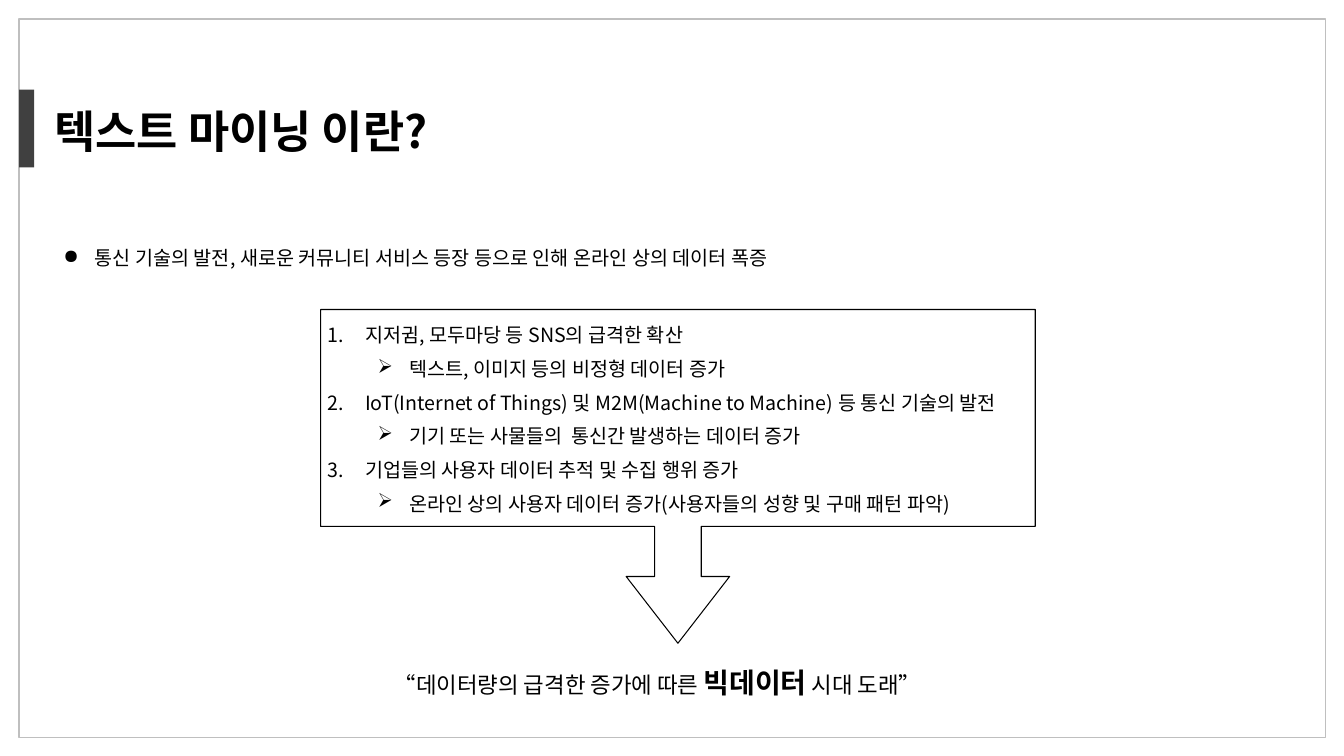
from lxml.etree import SubElement
from pptx import Presentation
from pptx.dml.color import RGBColor
from pptx.enum.shapes import MSO_SHAPE
from pptx.enum.text import MSO_AUTO_SIZE
from pptx.oxml.ns import qn
from pptx.util import Cm, Pt

BLACK = RGBColor(0x00, 0x00, 0x00)
DARK = RGBColor(0x40, 0x40, 0x40)
GREY = RGBColor(0xBF, 0xBF, 0xBF)
FONT = "Noto Sans CJK KR"

deck = Presentation()
deck.slide_width, deck.slide_height = Cm(33.87), Cm(19.05)
slide = deck.slides.add_slide(deck.slide_layouts[6])


def add_text(para, text, size=14, bold=False, space=24, mark=None,
             level=0, left=0, hang=0):
    """Add a run; mark is a bullet sign, or "1." for automatic numbers."""
    run = para.add_run()
    run.text = text
    run.font.size, run.font.bold = Pt(size), bold
    run.font.name = FONT
    run.font.color.rgb = BLACK
    SubElement(run.font._element, qn("a:ea"), typeface=FONT)
    if space:
        para.line_spacing = Pt(space)
    if mark:
        para.level = level
        props = para._p.get_or_add_pPr()
        props.set("marL", str(Cm(left)))
        props.set("indent", str(-Cm(hang)))
        if mark == "1.":
            SubElement(props, qn("a:buFont"), typeface="+mj-lt")
            SubElement(props, qn("a:buAutoNum"), type="arabicPeriod")
        else:
            SubElement(props, qn("a:buChar"), char=mark)


def add_box(left, top, width, height, wrap=True):
    box = slide.shapes.add_textbox(Cm(left), Cm(top), Cm(width), Cm(height))
    frame = box.text_frame
    frame.word_wrap = wrap
    frame.auto_size = MSO_AUTO_SIZE.SHAPE_TO_FIT_TEXT
    return frame


# Frame, title bar and arrow callout
shapes = [
    (MSO_SHAPE.RECTANGLE, (0.48, 0.48, 32.92, 18.11), None, GREY, 1),
    (MSO_SHAPE.RECTANGLE, (0.48, 2.26, 0.38, 1.96), DARK, None, 0),
    (MSO_SHAPE.DOWN_ARROW_CALLOUT, (8.08, 7.8, 18.01, 8.41), None, BLACK, 0.75),
]
for kind, place, fill, line, width in shapes:
    shape = slide.shapes.add_shape(kind, *map(Cm, place))
    shape.shadow.inherit = False
    if fill is None:
        shape.fill.background()
    else:
        shape.fill.solid()
        shape.fill.fore_color.rgb = fill
    if line is None:
        shape.line.fill.background()
    else:
        shape.line.color.rgb = line
        shape.line.width = Pt(width)
    if kind == MSO_SHAPE.DOWN_ARROW_CALLOUT:
        for i, value in enumerate((0.14, 0.155, 0.2, 0.65)):
            shape.adjustments[i] = value

# Title and lead point
title = add_box(1.12, 2.49, 10.95, 1.63, wrap=False)
add_text(title.paragraphs[0], "텍스트 마이닝 이란?", size=32, bold=True, space=None)

lead = add_box(1.35, 5.82, 21.36, 1.12)
add_text(lead.paragraphs[0],
         "통신 기술의 발전, 새로운 커뮤니티 서비스 등장 등으로 인해 온라인 상의 데이터 폭증",
         mark="●", left=0.79, hang=0.79)

# Causes, each with its effect
causes = [
    ("지저귐, 모두마당 등 SNS의 급격한 확산",
     "텍스트, 이미지 등의 비정형 데이터 증가"),
    ("IoT(Internet of Things) 및 M2M(Machine to Machine) 등 통신 기술의 발전",
     "기기 또는 사물들의  통신간 발생하는 데이터 증가"),
    ("기업들의 사용자 데이터 추적 및 수집 행위 증가",
     "온라인 상의 사용자 데이터 증가(사용자들의 성향 및 구매 패턴 파악)"),
]
points = add_box(6.73, 7.77, 19.71, 5.38)
para = points.paragraphs[0]
for i, (cause, effect) in enumerate(causes):
    if i:
        para = points.add_paragraph()
    add_text(para, cause, mark="1.", level=1, left=2.22, hang=0.95)
    add_text(points.add_paragraph(), effect, mark="➢", level=2, left=3.33, hang=0.79)

# Conclusion
end = add_box(9.68, 16.64, 19.43, 1.12).paragraphs[0]
add_text(end, "“데이터량의 급격한 증가에 따른 ", size=16)
add_text(end, "빅데이터", size=20, bold=True)
add_text(end, " 시대 도래”", size=16)

deck.save("out.pptx")
